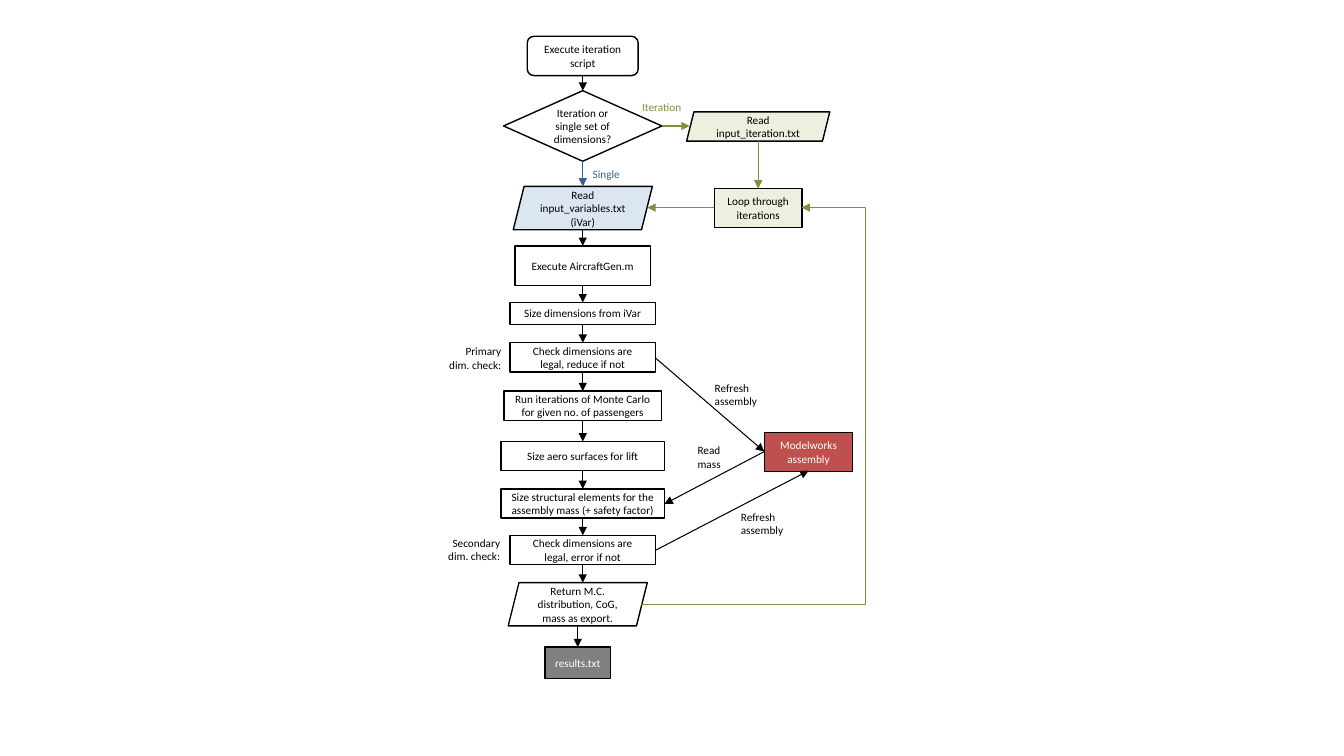
from dataclasses import dataclass
from itertools import pairwise

from lxml import etree
from pptx import Presentation
from pptx.dml.color import RGBColor
from pptx.enum.shapes import MSO_CONNECTOR, MSO_SHAPE
from pptx.enum.text import MSO_ANCHOR, PP_ALIGN
from pptx.oxml.ns import qn
from pptx.util import Inches, Pt

RECT, ROUND = MSO_SHAPE.RECTANGLE, MSO_SHAPE.ROUNDED_RECTANGLE
DIAMOND, DATA = MSO_SHAPE.DIAMOND, MSO_SHAPE.PARALLELOGRAM
STRAIGHT, ELBOW = MSO_CONNECTOR.STRAIGHT, MSO_CONNECTOR.ELBOW
LEFT, CENTER, RIGHT = PP_ALIGN.LEFT, PP_ALIGN.CENTER, PP_ALIGN.RIGHT
TOP, MIDDLE = MSO_ANCHOR.TOP, MSO_ANCHOR.MIDDLE

BLACK, WHITE, GREY, RED = "000000", "FFFFFF", "808080", "C0504D"
BLUE, PALE_BLUE = "376092", "DCE6F2"
GREEN, PALE_GREEN = "77933C", "EBF1DE"
AXIS, END_AXIS = 5.78, 5.73  # centres of the main column and of its output
FONT = {"name": "Calibri", "size": Pt(8)}


@dataclass
class Node:
    text: str
    top: float
    width: float
    height: float
    kind: int = RECT
    fill: str = WHITE
    color: str = BLACK
    center: float = AXIS


@dataclass
class Label:
    text: str
    left: float
    top: float
    width: float
    height: float = 0.37
    color: str = BLACK
    align: int = LEFT


@dataclass
class Arrow:
    start: tuple[float, float]
    end: tuple[float, float]
    color: str = BLACK


MAIN = [
    Node("Execute iteration script", 0.36, 1.1, 0.39, ROUND),
    Node("Iteration or single set of dimensions?", 0.9, 1.57, 0.7, DIAMOND),
    Node("Read input_variables.txt (iVar)", 1.85, 1.38, 0.43, DATA, PALE_BLUE),
    Node("Execute AircraftGen.m", 2.44, 1.34, 0.39),
    Node("Size dimensions from iVar", 3, 1.44, 0.22),
    Node("Check dimensions are legal, reduce if not", 3.4, 1.44, 0.29),
    Node("Run iterations of Monte Carlo for given no. of passengers", 3.88, 1.56, 0.29),
    Node("Size aero surfaces for lift", 4.38, 1.62, 0.29),
    Node("Size structural elements for the assembly mass (+ safety factor)", 4.85, 1.62, 0.29),
    Node("Check dimensions are legal, error if not", 5.31, 1.44, 0.29),
    Node("Return M.C. distribution, CoG, mass as export.", 5.78, 1.38, 0.43, DATA,
         center=END_AXIS),
    Node("results.txt", 6.42, 0.65, 0.31, RECT, GREY, WHITE, END_AXIS),
]
SIDE = [
    Node("Read input_iteration.txt", 1.11, 1.42, 0.29, DATA, PALE_GREEN, center=7.52),
    Node("Loop through iterations", 1.87, 0.87, 0.39, RECT, PALE_GREEN, center=7.52),
    Node("Modelworks assembly", 4.29, 0.87, 0.39, RECT, RED, WHITE, 8.02),
]
LABELS = [
    Label("Single", 5.78, 1.61, 0.49, 0.24, BLUE),
    Label("Iteration", 6.27, 0.95, 0.6, 0.24, GREEN),
    Label("Refresh assembly", 6.99, 3.73, 0.63),
    Label("Read mass", 6.82, 4.35, 0.44),
    Label("Refresh assembly", 7.25, 5.01, 0.63),
    Label("Primary dim. check:", 4.34, 3.37, 0.73, align=RIGHT),
    Label("Secondary dim. check:", 4.33, 5.27, 0.73, align=RIGHT),
]
ARROWS = [
    Arrow((6.57, 1.25), (6.84, 1.25), GREEN),
    Arrow((7.52, 1.4), (7.52, 1.87), GREEN),
    Arrow((7.08, 2.06), (6.42, 2.06), GREEN),
    Arrow((6.5, 3.55), (7.58, 4.48)),
    Arrow((7.58, 4.48), (6.59, 5)),
    Arrow((6.5, 5.46), (8.02, 4.67)),
]
LOOP_BACK, LOOP_X = Arrow((6.36, 6), (7.95, 2.06), GREEN), 8.58


def rgb(color: str) -> RGBColor:
    return RGBColor.from_string(color)


def write(sp, text: str, color: str, align: int, anchor: int) -> None:
    tf = sp.text_frame
    tf.word_wrap = True
    tf.vertical_anchor = anchor
    p = tf.paragraphs[0]
    p.alignment = align
    r = p.add_run()
    r.text = text
    for name, value in FONT.items():
        setattr(r.font, name, value)
    r.font.color.rgb = rgb(color)


def add_node(s, node: Node) -> None:
    sp = s.shapes.add_shape(
        node.kind, Inches(node.center - node.width / 2), Inches(node.top),
        Inches(node.width), Inches(node.height))
    sp.shadow.inherit = False
    sp.fill.solid()
    sp.fill.fore_color.rgb = rgb(node.fill)
    sp.line.color.rgb = rgb(BLACK)
    sp.line.width = Pt(1)
    write(sp, node.text, node.color, CENTER, MIDDLE)


def add_label(s, label: Label) -> None:
    sp = s.shapes.add_textbox(*map(Inches, (label.left, label.top, label.width, label.height)))
    write(sp, label.text, label.color, label.align, TOP)
    # A little slack on the ragged side keeps words whole
    ragged = "margin_left" if label.align == RIGHT else "margin_right"
    setattr(sp.text_frame, ragged, Inches(0.08))


def add_arrow(s, arrow: Arrow, kind: int = STRAIGHT):
    sp = s.shapes.add_connector(kind, *map(Inches, (*arrow.start, *arrow.end)))
    sp.line.color.rgb = rgb(arrow.color)
    sp.line.width = Pt(0.75)
    etree.SubElement(sp.line._get_or_add_ln(), qn("a:tailEnd"), type="triangle")
    etree.SubElement(sp._element.spPr, qn("a:effectLst"))
    return sp


def add_loop_back(s, arrow: Arrow, bend_x: float) -> None:
    sp = add_arrow(s, arrow, ELBOW)
    bend = (bend_x - arrow.start[0]) / (arrow.end[0] - arrow.start[0])
    geom = sp._element.spPr.find(qn("a:prstGeom"))
    guides = geom.find(qn("a:avLst"))
    if guides is None:
        guides = etree.SubElement(geom, qn("a:avLst"))
    etree.SubElement(guides, qn("a:gd"), name="adj1", fmla=f"val {round(bend * 100000)}")


def main() -> None:
    prs = Presentation()
    prs.slide_width, prs.slide_height = Inches(13.33), Inches(7.5)
    s = prs.slides.add_slide(prs.slide_layouts[6])

    # Boxes
    for node in MAIN + SIDE:
        add_node(s, node)

    # Arrows down the main column, blue on the single branch
    for upper, lower in pairwise(MAIN):
        color = BLUE if upper.kind == DIAMOND else BLACK
        add_arrow(s, Arrow((upper.center, upper.top + upper.height),
                           (upper.center, lower.top), color))

    # Side arrows and the iteration loop
    for arrow in ARROWS:
        add_arrow(s, arrow)
    add_loop_back(s, LOOP_BACK, LOOP_X)

    # Labels
    for label in LABELS:
        add_label(s, label)

    prs.save("out.pptx")


if __name__ == "__main__":
    main()
